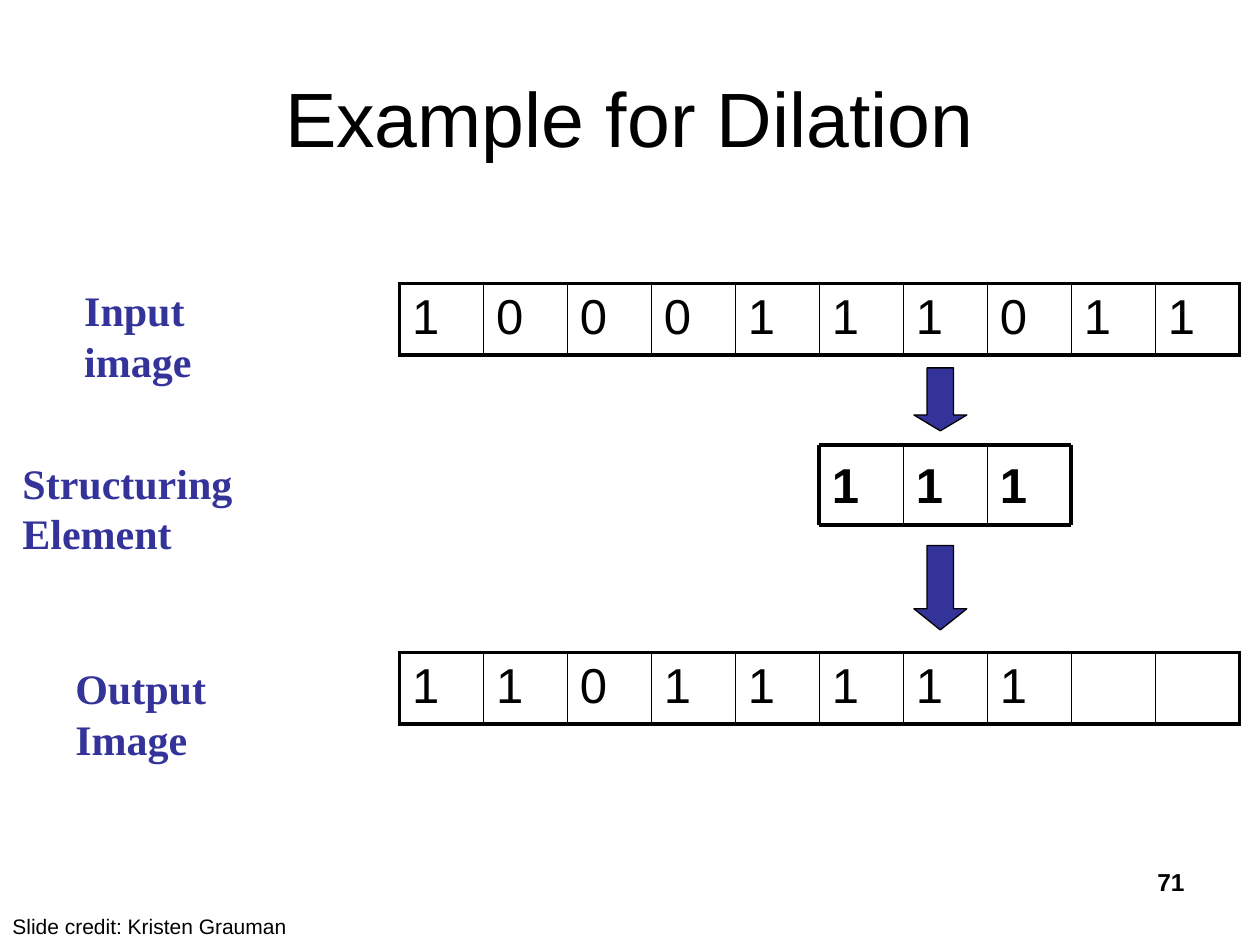
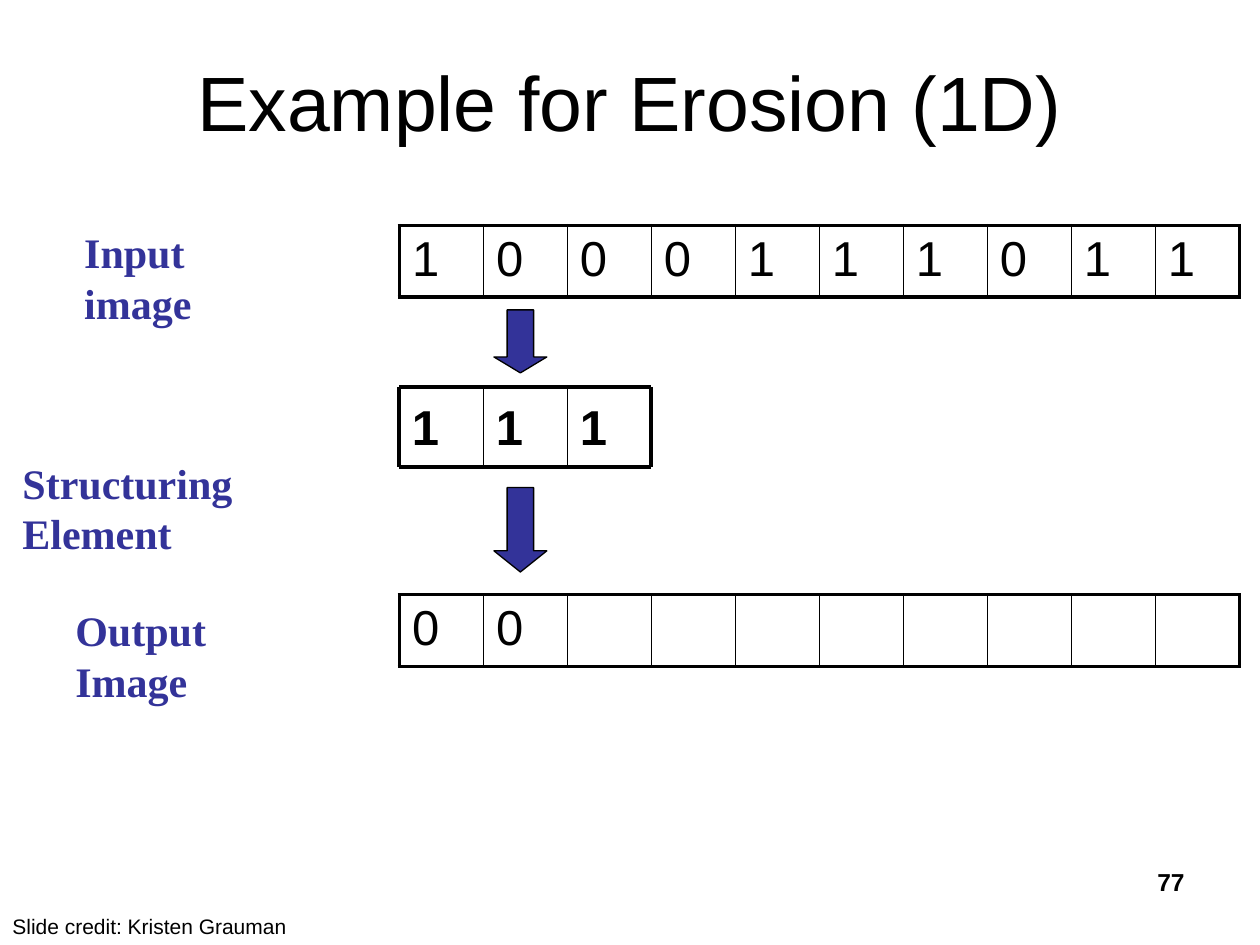
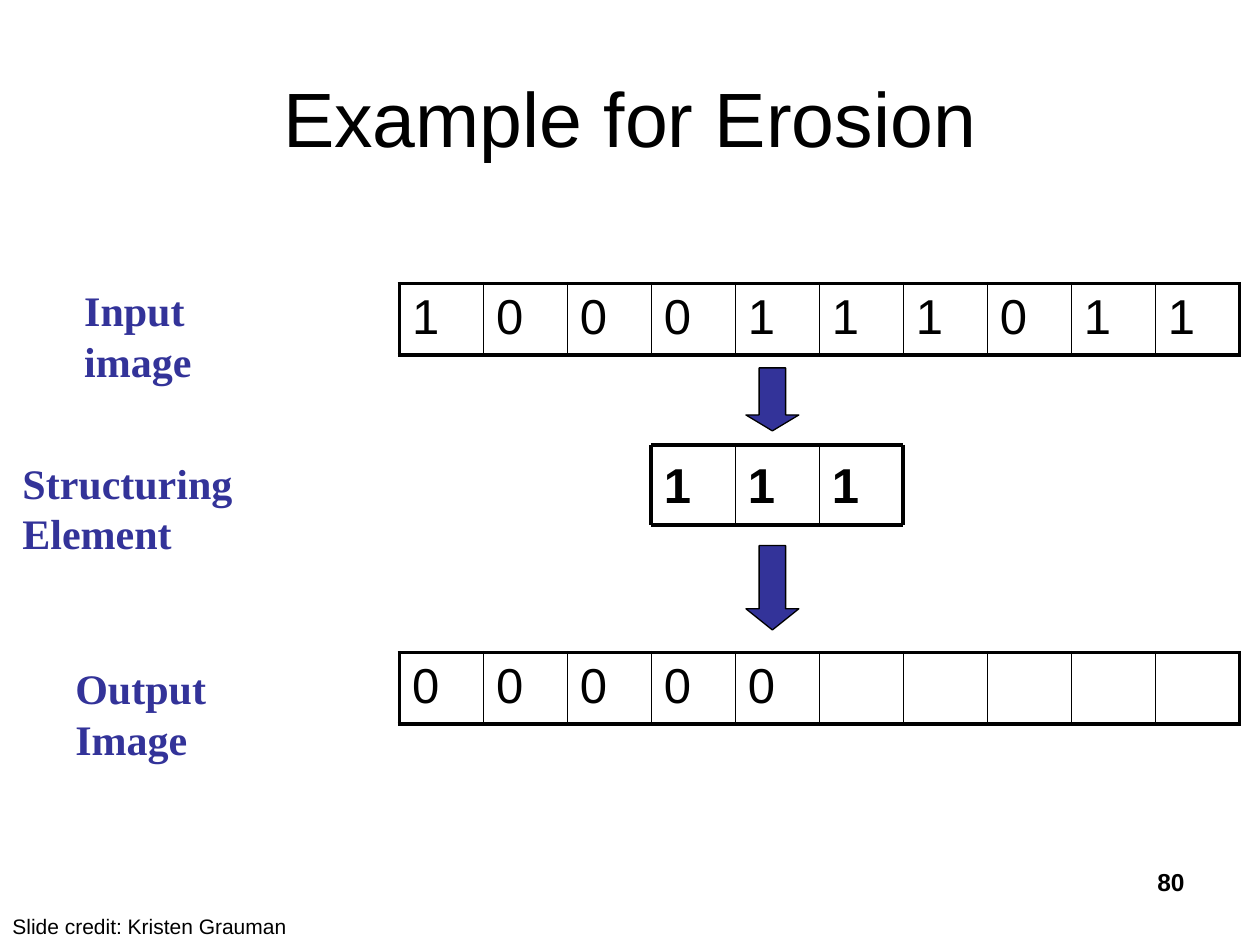
"""Three slides that step a structuring element along a one-dimensional image."""
import lxml.etree
import pptx
import pptx.dml.color
import pptx.enum.shapes
import pptx.enum.text
import pptx.oxml.ns
import pptx.util
from pptx.util import Inches

BLACK = pptx.dml.color.RGBColor(0x00, 0x00, 0x00)
INDIGO = pptx.dml.color.RGBColor(0x33, 0x33, 0x99)
ALIGN = pptx.enum.text.PP_ALIGN
ANCHOR = pptx.enum.text.MSO_ANCHOR
THICK, THIN = 2.25, 1
GRID_LEFT, CELL, CELL_COUNT = 3.17, 2 / 3, 10
ROW_HEIGHT, ELEMENT_HEIGHT = 0.56, 0.64
INPUT_TOP, ELEMENT_TOP, OUTPUT_TOP = 2.25, 3.53, 5.18
INPUT_VALUES = "1000111011"
ELEMENT_VALUES = "111"

SLIDES = [
    dict(title="Example for Dilation", title_box=(0.5, 0.3, 9, 1.25), shift=0,
         position=5, output="11011111", number="71"),
    dict(title="Example for Erosion (1D)", title_box=(0.75, 0.17, 8.5, 1.25), shift=-0.46,
         position=0, output="00", number="77"),
    dict(title="Example for Erosion", title_box=(0.5, 0.3, 9, 1.25), shift=0,
         position=3, output="00000", number="80"),
]


def write_text(frame, text, size=28, font="Arial", color=BLACK, bold=False,
               align=ALIGN.LEFT, anchor=ANCHOR.TOP):
    frame.word_wrap = True
    frame.vertical_anchor = anchor
    paragraph = frame.paragraphs[0]
    paragraph.alignment = align
    run = paragraph.add_run()
    run.text = text
    run.font.size = pptx.util.Pt(size)
    run.font.name = font
    run.font.bold = bold
    run.font.color.rgb = color


def add_text_box(slide, box, text, **style):
    frame = slide.shapes.add_textbox(*map(Inches, box)).text_frame
    write_text(frame, text, **style)
    return frame


presentation = pptx.Presentation()
presentation.slide_width = Inches(10)
presentation.slide_height = Inches(7.5)

for content in SLIDES:
    slide = presentation.slides.add_slide(presentation.slide_layouts[6])
    shift = content["shift"]
    add_text_box(slide, content["title_box"], content["title"], size=44,
                 align=ALIGN.CENTER, anchor=ANCHOR.MIDDLE)

    for top, values in [(INPUT_TOP, INPUT_VALUES), (OUTPUT_TOP, content["output"])]:
        frame = slide.shapes.add_table(
            1, CELL_COUNT, Inches(GRID_LEFT), Inches(top + shift),
            Inches(CELL * CELL_COUNT), Inches(ROW_HEIGHT))
        table = frame.table
        table.first_row = table.horz_banding = False
        for index in range(CELL_COUNT):
            cell = table.cell(0, index)
            cell.fill.background()
            if index < len(values):
                write_text(cell.text_frame, values[index])
            borders = {
                "lnL": THICK if index == 0 else THIN,
                "lnR": THICK if index == CELL_COUNT - 1 else THIN,
                "lnT": THICK,
                "lnB": THICK,
            }
            properties = cell._tc.get_or_add_tcPr()
            for order, (side, width) in enumerate(borders.items()):
                border = lxml.etree.Element(pptx.oxml.ns.qn(f"a:{side}"), w=str(pptx.util.Pt(width)))
                fill = lxml.etree.SubElement(border, pptx.oxml.ns.qn("a:solidFill"))
                lxml.etree.SubElement(fill, pptx.oxml.ns.qn("a:srgbClr"), val=str(BLACK))
                properties.insert(order, border)

    for text, left, top, width in [("Input image", 0.57, 2.21 + shift, 1.8),
                                   ("Structuring Element", 0.08, 3.58, 2.89),
                                   ("Output Image", 0.5, 5.21 + shift, 2.04)]:
        add_text_box(slide, (left, top, width, 0.5), text, size=24,
                     font="Times New Roman", color=INDIGO, bold=True)

    element_left = GRID_LEFT + content["position"] * CELL
    element_right = element_left + len(ELEMENT_VALUES) * CELL
    element_top = ELEMENT_TOP + shift
    element_bottom = element_top + ELEMENT_HEIGHT
    for index, value in enumerate(ELEMENT_VALUES):
        frame = add_text_box(
            slide, (element_left + index * CELL, element_top, CELL, ELEMENT_HEIGHT), value, bold=True)
        frame.margin_top = Inches(0.08)

    lines = [(element_left, y, element_right, y, THICK) for y in (element_top, element_bottom)]
    for index, width in enumerate([THICK, THIN, THIN, THICK]):
        x = element_left + index * CELL
        lines.append((x, element_top, x, element_bottom, width))
    for *ends, width in lines:
        line = slide.shapes.add_connector(
            pptx.enum.shapes.MSO_CONNECTOR.STRAIGHT, *map(Inches, ends))
        line.line.color.rgb = BLACK
        line.line.width = pptx.util.Pt(width)
        lxml.etree.SubElement(line._element.spPr, pptx.oxml.ns.qn("a:effectLst"))

    for top, height, head in [(4.33, 0.67, 0.4), (2.92, 0.5, 0.3)]:
        arrow = slide.shapes.add_shape(
            pptx.enum.shapes.MSO_SHAPE.DOWN_ARROW, Inches(element_left + 0.75),
            Inches(top + shift), Inches(0.42), Inches(height))
        arrow.adjustments[0] = 0.5
        arrow.adjustments[1] = head
        arrow.shadow.inherit = False
        arrow.fill.solid()
        arrow.fill.fore_color.rgb = INDIGO
        arrow.line.color.rgb = BLACK
        arrow.line.width = pptx.util.Pt(0.75)

    add_text_box(slide, (0, 7.2, 4.58, 0.3), "Slide credit: Kristen Grauman", size=12)
    add_text_box(slide, (7.17, 6.83, 2.33, 0.52), content["number"], size=14,
                 bold=True, align=ALIGN.RIGHT)

presentation.save("out.pptx")
